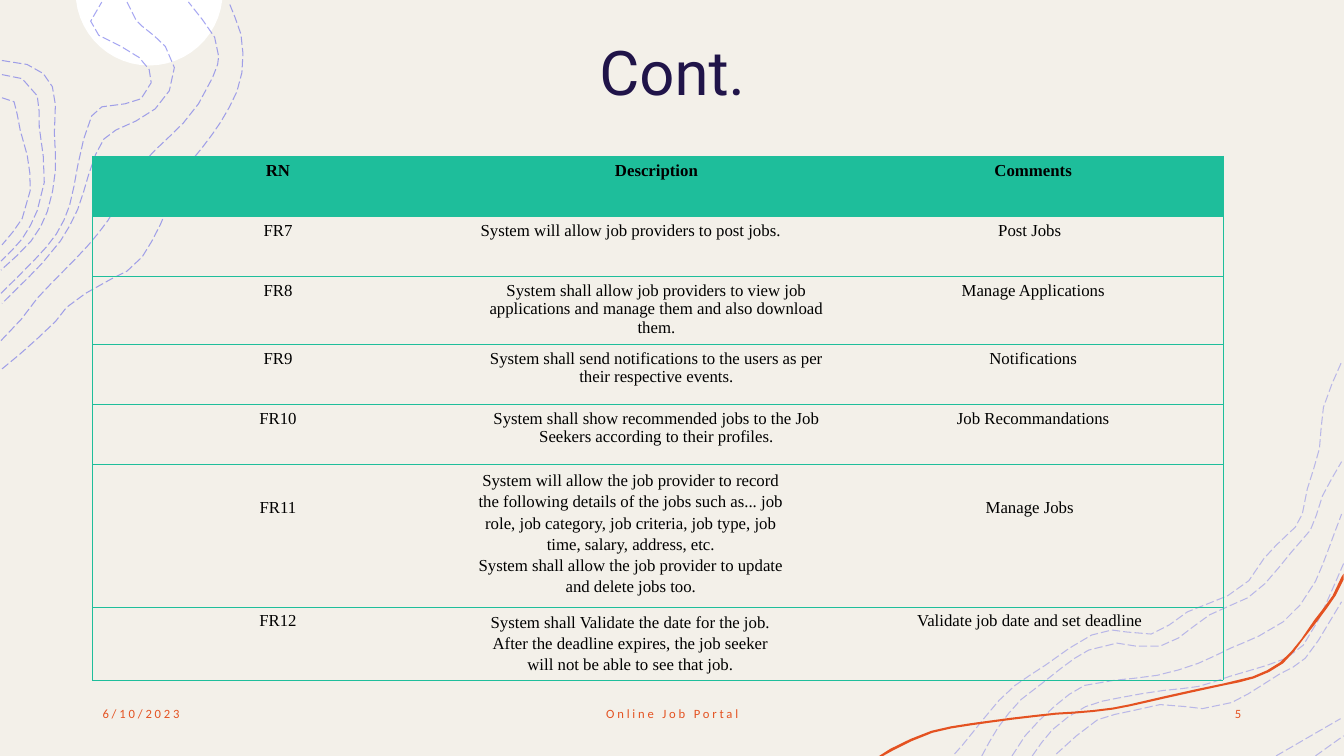
import math
from collections import namedtuple

from lxml import etree
from pptx import Presentation
from pptx.dml.color import RGBColor
from pptx.enum.dml import MSO_LINE
from pptx.enum.text import MSO_ANCHOR, PP_ALIGN
from pptx.oxml.ns import qn
from pptx.util import Pt

LEFT, CENTER, RIGHT = PP_ALIGN.LEFT, PP_ALIGN.CENTER, PP_ALIGN.RIGHT
TOP, MIDDLE = MSO_ANCHOR.TOP, MSO_ANCHOR.MIDDLE
LONG_DASH = MSO_LINE.LONG_DASH

THEME = {
    "background": "F3F0E9", "disc": "FFFFFF", "contour": "4D4EE6",
    "accent": "E45221", "title": "201449", "table": "1EBE9B", "text": "000000",
    "title_font": "Roboto", "footer_font": "Calibri", "table_font": "Times New Roman",
    "title_size": 44, "footer_size": 9, "table_size": 12,
    "contour_width": 0.75, "border_width": 0.5, "footer_spacing": 2,
}

# Margins are (left, right) in points; they set the wrapping and centring of a cell.
Row = namedtuple("Row", "height number description comment margins comment_right spacing top",
                 defaults=((7.2, 9), 9, 1, 3.6))
SHIFTED = (3.6, 42)
ROWS = [
    Row(42.8, "RN", ["Description"], "Comments"),
    Row(42.8, "FR7", ["System will allow job providers to post jobs."], "Post Jobs", SHIFTED, 14),
    Row(48.7, "FR8", ["System shall allow job providers to view job applications and manage "
                      "them and also download them."], "Manage Applications"),
    Row(42.8, "FR9", ["System shall send notifications to the users as per their respective "
                      "events."], "Notifications"),
    Row(42.8, "FR10", ["System shall show recommended jobs to the Job Seekers according to "
                       "their profiles."], "Job Recommandations"),
    Row(101.4, "FR11", ["System will allow the job provider to record the following details of "
                        "the jobs such as... job role, job category, job criteria, job type, "
                        "job time, salary, address, etc.",
                        "System shall allow the job provider to update and delete jobs too."],
        "Manage Jobs", SHIFTED, 14, 1.14, 25),
    Row(52.3, "FR12", ["System shall Validate the date for the job. After the deadline expires, "
                       "the job seeker will not be able to see that job."],
        "Validate job date and set deadline", (11.5, 50.5), 14, 1.11),
]
TABLE_LEFT, TABLE_TOP, COLUMN_WIDTH = 66.2, 111.6, 269.1

FOOTERS = [  # text, left, width, alignment
    ("6/10/2023", 66.2, 216, LEFT),
    ("Online Job Portal", 318.2, 324, CENTER),
    ("5", 779.8, 113.8, RIGHT),
]

UNIT = 0.72  # points per unit of the coordinates below
CURVE_STEP = 20  # longest stretch of a curve drawn as one straight piece
DISC_CENTER, DISC_RADIUS, DISC_STEPS = (148, -8), 73, 24
LEFT_CONTOURS = [
    [(2, 366), (19, 352), (55, 319), (66, 305), (85, 291), (110, 277), (126, 269), (141, 255),
     (159, 223), (167, 204), (181, 172), (201, 146), (219, 121), (235, 91), (240, 72), (241, 53),
     (239, 34), (227, 2)],
    [(1, 338), (21, 317), (37, 296), (63, 269), (87, 244), (107, 219), (121, 196), (136, 168),
     (154, 149), (182, 122), (197, 103), (211, 77), (216, 64), (217, 56), (213, 37), (187, 2)],
    [(126, 2), (135, 20), (141, 26), (164, 46), (173, 67), (168, 90), (154, 108), (135, 120),
     (115, 129), (103, 138), (95, 153), (88, 173), (77, 208), (60, 239), (42, 261), (2, 301)],
    [(1, 291), (35, 257), (56, 232), (69, 204), (77, 165), (83, 138), (91, 115), (101, 106),
     (124, 103), (140, 98), (150, 82), (148, 69), (138, 57), (120, 46), (98, 35), (90, 21),
     (101, 2)],
    [(2, 60), (27, 64), (43, 73), (52, 86), (55, 104), (54, 132), (55, 169), (47, 210),
     (31, 239), (1, 268)],
    [(2, 74), (22, 78), (37, 95), (39, 126), (43, 155), (44, 181), (37, 209), (22, 237), (1, 259)],
    [(2, 97), (14, 101), (17, 113), (20, 129), (27, 154), (30, 189), (22, 217), (2, 243)],
]
RIGHT_CONTOURS = [
    [(947, 748), (955, 739), (976, 713), (991, 695), (1007, 680), (1037, 660), (1061, 643),
     (1083, 630), (1103, 625), (1118, 627), (1142, 629), (1160, 620), (1178, 607), (1218, 591),
     (1239, 576), (1254, 554), (1266, 541), (1285, 523), (1292, 510), (1297, 485), (1309, 445),
     (1313, 404), (1331, 359)],
    [(974, 750), (990, 722), (1013, 694), (1035, 677), (1054, 662), (1080, 645), (1108, 638),
     (1127, 641), (1151, 641), (1169, 633), (1200, 610), (1238, 593), (1255, 579), (1281, 548),
     (1300, 526), (1306, 511), (1312, 492), (1331, 458)],
    [(1305, 750), (1333, 730)],
    [(1266, 750), (1330, 713)],
    [(1048, 748), (1068, 730), (1089, 714), (1124, 705), (1151, 699), (1176, 701), (1193, 703),
     (1222, 697), (1269, 669), (1295, 653), (1331, 597)],
    [(1024, 750), (1044, 724), (1077, 701), (1112, 692), (1154, 685), (1189, 681), (1220, 671),
     (1257, 660), (1276, 653), (1293, 640), (1308, 615), (1333, 559)],
    [(1004, 750), (1017, 730), (1047, 700), (1076, 680), (1105, 675), (1148, 670), (1189, 658),
     (1221, 643), (1249, 631), (1273, 617), (1290, 600), (1305, 577), (1331, 510)],
]
RIBBON_LOWER = [(1333, 575), (1325, 591), (1307, 616), (1293, 634), (1273, 658), (1244, 673),
                (1214, 680), (1191, 685), (1155, 693), (1104, 704), (1065, 708), (1048, 709),
                (982, 717), (925, 727), (885, 745), (876, 750)]
RIBBON_UPPER = [(872, 750), (883, 743), (924, 725), (981, 715), (1048, 707), (1065, 706),
                (1104, 702), (1154, 691), (1190, 683), (1214, 678), (1243, 671), (1270, 657),
                (1291, 634), (1304, 615), (1322, 591), (1331, 572), (1333, 569)]


def color(name):
    return RGBColor.from_string(THEME[name])


def smooth_curve(knots):
    """Hermite curve through the knots, its tangents as long as each chord."""
    directions = []
    for index in range(len(knots)):
        before, after = knots[max(index - 1, 0)], knots[min(index + 1, len(knots) - 1)]
        length = math.dist(before, after)
        directions.append([(after[axis] - before[axis]) / length for axis in (0, 1)])
    points = [knots[0]]
    for start, end, leave, arrive in zip(knots, knots[1:], directions, directions[1:]):
        chord = math.dist(start, end)
        steps = max(1, round(chord / CURVE_STEP))
        for step in range(1, steps + 1):
            t = step / steps
            ease = t * t * (3 - 2 * t)
            out, into = chord * t * (1 - t) ** 2, chord * t * t * (t - 1)
            points.append(tuple(start[axis] * (1 - ease) + end[axis] * ease
                                + leave[axis] * out + arrive[axis] * into for axis in (0, 1)))
    return points


def add_outline(slide, points, closed):
    corners = [(Pt(x * UNIT), Pt(y * UNIT)) for x, y in points]
    builder = slide.shapes.build_freeform(*corners[0])
    builder.add_line_segments(corners[1:], close=closed)
    shape = builder.convert_to_shape()
    shape.shadow.inherit = False
    return shape


def add_filled(slide, points, fill):
    shape = add_outline(slide, points, True)
    shape.fill.solid()
    shape.fill.fore_color.rgb = color(fill)
    shape.line.fill.background()


def add_contour(slide, knots, opacity):
    shape = add_outline(slide, smooth_curve(knots), False)
    shape.fill.background()
    shape.line.color.rgb = color("contour")
    shape.line.width = Pt(THEME["contour_width"])
    shape.line.dash_style = LONG_DASH
    tint = shape.line._get_or_add_ln().find(".//" + qn("a:srgbClr"))
    etree.SubElement(tint, qn("a:alpha"), val=str(opacity * 1000))


def set_font(font, family, size, fill, bold=False):
    font.name, font.size, font.bold = THEME[family], Pt(THEME[size]), bold
    font.color.rgb = color(fill)


def add_text(slide, text, frame, role, fill, alignment, anchor):
    box = slide.shapes.add_textbox(*map(Pt, frame))
    box.text_frame.word_wrap = True
    box.text_frame.vertical_anchor = anchor
    para = box.text_frame.paragraphs[0]
    para.alignment = alignment
    span = para.add_run()
    span.text = text
    set_font(para.font, role + "_font", role + "_size", fill)
    return span


def set_borders(cell, column):
    edges = {"lnL": column == 0, "lnR": column == 2, "lnT": True, "lnB": True}
    properties = cell._tc.get_or_add_tcPr()
    for position, (tag, visible) in enumerate(edges.items()):
        edge = etree.Element(qn("a:" + tag), w=str(Pt(THEME["border_width"])))
        fill = etree.SubElement(edge, qn("a:solidFill" if visible else "a:noFill"))
        if visible:
            etree.SubElement(fill, qn("a:srgbClr"), val=THEME["table"])
        properties.insert(position, edge)


def fill_cell(cell, texts, margins, top, spacing, header):
    cell.margin_left, cell.margin_right = map(Pt, margins)
    cell.margin_top, cell.margin_bottom = Pt(top), Pt(0)
    cell.text = "\n".join(texts)
    for para in cell.text_frame.paragraphs:
        para.alignment, para.line_spacing = CENTER, spacing
        set_font(para.font, "table_font", "table_size", "text", header)
    if header:
        cell.fill.solid()
        cell.fill.fore_color.rgb = color("table")
    else:
        cell.fill.background()


def add_requirements(slide):
    height = sum(row.height for row in ROWS)
    frame = (TABLE_LEFT, TABLE_TOP, 3 * COLUMN_WIDTH, height)
    table = slide.shapes.add_table(len(ROWS), 3, *map(Pt, frame)).table
    table.horz_banding = False
    for column in table.columns:
        column.width = Pt(COLUMN_WIDTH)
    for index, row in enumerate(ROWS):
        table.rows[index].height = Pt(row.height)
        cells = [([row.number], (3.6, 8), row.top, 1),
                 (row.description, row.margins, 3.6, row.spacing),
                 ([row.comment], (7.2, row.comment_right), row.top, 1)]
        for column, content in enumerate(cells):
            cell = table.cell(index, column)
            fill_cell(cell, *content, header=index == 0)
            set_borders(cell, column)


def main():
    deck = Presentation()
    deck.slide_width, deck.slide_height = Pt(960), Pt(540)
    slide = deck.slides.add_slide(deck.slide_layouts[6])
    slide.background.fill.solid()
    slide.background.fill.fore_color.rgb = color("background")

    edge = math.asin(-DISC_CENTER[1] / DISC_RADIUS)
    angles = [edge + (math.pi - 2 * edge) * step / DISC_STEPS for step in range(DISC_STEPS + 1)]
    add_filled(slide, [(DISC_CENTER[0] + DISC_RADIUS * math.cos(angle),
                        DISC_CENTER[1] + DISC_RADIUS * math.sin(angle)) for angle in angles], "disc")
    for contours, opacity in ((LEFT_CONTOURS, 50), (RIGHT_CONTOURS, 35)):
        for knots in contours:
            add_contour(slide, knots, opacity)
    add_filled(slide, smooth_curve(RIBBON_LOWER) + smooth_curve(RIBBON_UPPER), "accent")

    add_text(slide, "Cont.", (87.1, 18, 786.2, 64.8), "title", "title", CENTER, MIDDLE)
    for text, left, width, alignment in FOOTERS:
        span = add_text(slide, text, (left, 500.4, width, 28.8), "footer", "accent", alignment, TOP)
        span.font._element.set("spc", str(THEME["footer_spacing"] * 100))
    add_requirements(slide)
    deck.save("out.pptx")


if __name__ == "__main__":
    main()
